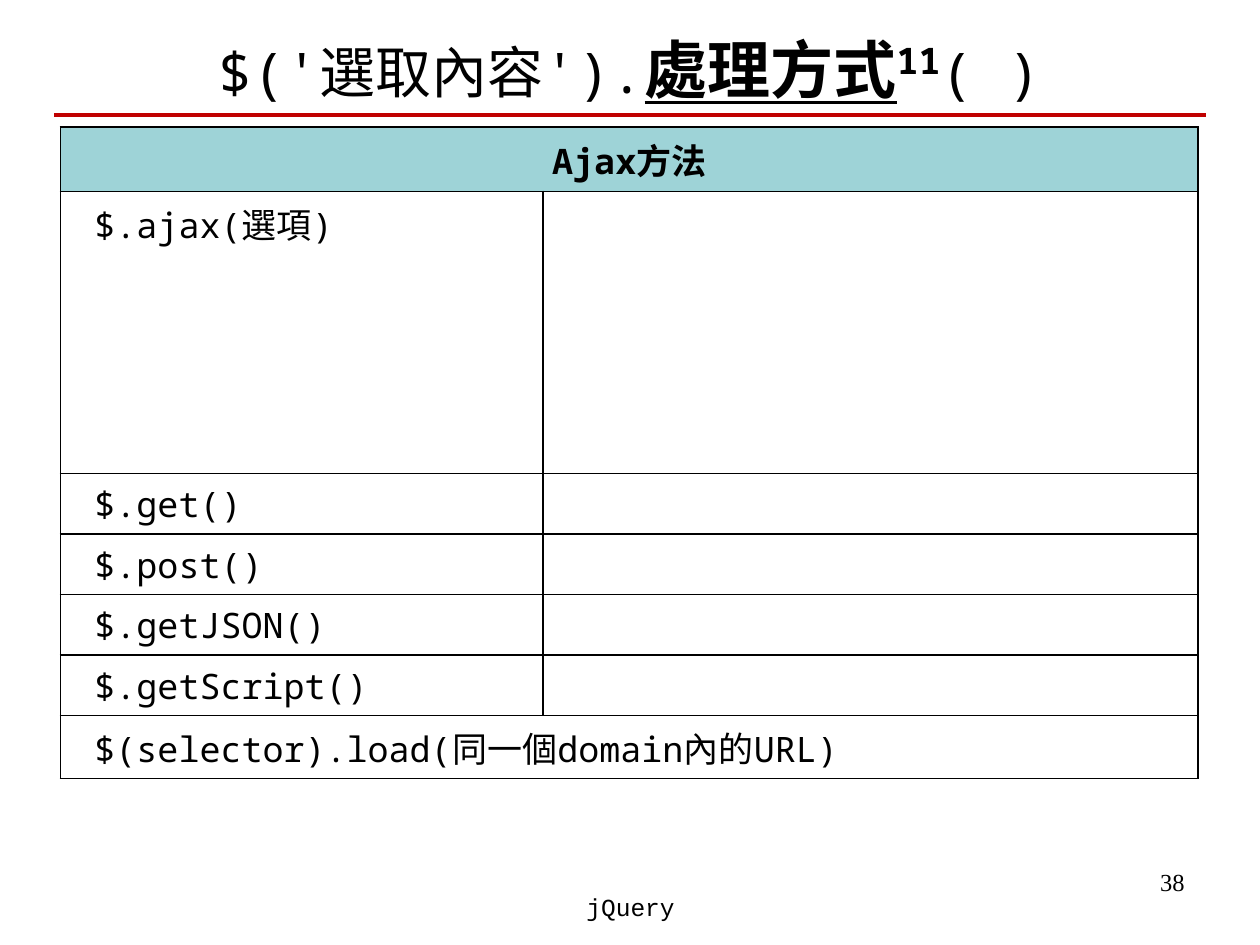
from pptx import Presentation
from pptx.dml.color import RGBColor as RGB
from pptx.enum.text import MSO_ANCHOR as Anchor, PP_ALIGN as Align
from pptx.enum.shapes import MSO_CONNECTOR as Conn
from pptx.oxml import parse_xml
from pptx.oxml.ns import nsdecls
from pptx.util import Inches, Pt

BLACK = RGB(0, 0, 0)
WHITE = RGB(255, 255, 255)
RED = RGB(0xC0, 0, 0)
TEAL = RGB(0x9E, 0xD3, 0xD7)
MONO = "Noto Sans Mono"
CALLS = ["$.ajax(選項)", "$.get()", "$.post()", "$.getJSON()",
         "$.getScript()", "$(selector).load(同一個domain內的URL)"]
COLS = [3.83, 5.2]
ROWS = [0.51, 2.24, 0.48, 0.48, 0.48, 0.48, 0.5]


def add_run(para, text, size=20, face=MONO, bold=False, under=False, rise=0):
    run = para.add_run()
    run.text = text
    font = run.font
    font.size, font.name = Pt(size), face
    font.bold, font.underline = bold, under
    font.color.rgb = BLACK
    if rise:
        run._r.get_or_add_rPr().set("baseline", str(rise * 1000))


def add_title(slide):
    title = slide.shapes.title
    title.left, title.top = Inches(0.5), Inches(0.16)
    title.width, title.height = Inches(9), Inches(0.76)
    frame = title.text_frame
    frame.word_wrap = True
    frame.vertical_anchor = Anchor.MIDDLE
    para = frame.paragraphs[0]
    para.alignment = Align.CENTER
    add_run(para, "$('選取內容').", size=32)
    add_run(para, "處理方式", size=36, bold=True, under=True)
    add_run(para, "11", size=36, bold=True, rise=30)
    add_run(para, "( )", size=32)


def add_rule(slide):
    y = Inches(0.91)
    line = slide.shapes.add_connector(
        Conn.STRAIGHT, Inches(0.43), y, Inches(9.57), y)
    line.line.color.rgb = RED
    line.line.width = Pt(2.25)
    line._element.spPr.append(parse_xml(f"<a:effectLst {nsdecls('a')}/>"))


def add_label(slide, text, box, align, face):
    shape = slide.shapes.add_textbox(*map(Inches, box))
    frame = shape.text_frame
    frame.word_wrap = True
    para = frame.paragraphs[0]
    para.alignment = align
    add_run(para, text, size=14, face=face)


def style_cell(cell, fill):
    props = cell._tc.get_or_add_tcPr()
    for side in ("lnL", "lnR", "lnT", "lnB"):
        props.append(parse_xml(
            f'<a:{side} {nsdecls("a")} w="12700"><a:solidFill>'
            f'<a:srgbClr val="{BLACK}"/></a:solidFill></a:{side}>'))
    cell.fill.solid()
    cell.fill.fore_color.rgb = fill


def add_grid(slide):
    grid = slide.shapes.add_table(
        len(ROWS), len(COLS), Inches(0.48), Inches(1.01),
        Inches(sum(COLS)), Inches(sum(ROWS))).table
    grid.horz_banding = False
    for col, width in zip(grid.columns, COLS):
        col.width = Inches(width)
    for i, (row, height) in enumerate(zip(grid.rows, ROWS)):
        row.height = Inches(height)
        for cell in row.cells:
            style_cell(cell, WHITE if i else TEAL)
    for i in (0, len(ROWS) - 1):
        grid.cell(i, 0).merge(grid.cell(i, 1))
    head = grid.cell(0, 0).text_frame.paragraphs[0]
    head.alignment = Align.CENTER
    add_run(head, "Ajax方法", bold=True)
    for i, call in enumerate(CALLS, 1):
        cell = grid.cell(i, 0)
        cell.margin_left = Inches(0.27)
        add_run(cell.text_frame.paragraphs[0], call)


def main():
    deck = Presentation()
    deck.slide_width, deck.slide_height = Inches(10), Inches(7.5)
    slide = deck.slides.add_slide(deck.slide_layouts[5])
    add_label(slide, "38", (7.17, 6.83, 2.33, 0.52), Align.RIGHT,
              "Times New Roman")
    add_title(slide)
    add_rule(slide)
    add_label(slide, "jQuery", (3.42, 7.03, 3.17, 0.5), Align.CENTER,
              "Courier New")
    add_grid(slide)
    deck.save("out.pptx")


if __name__ == "__main__":
    main()
